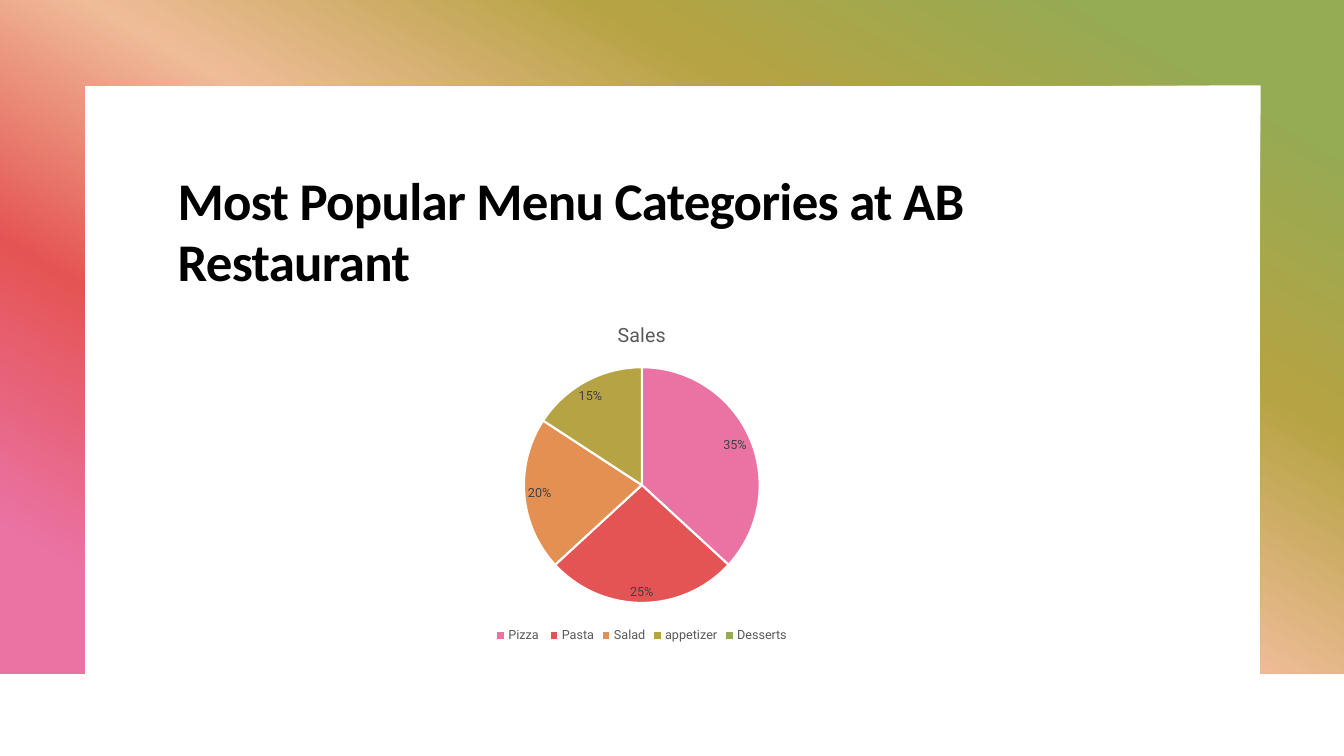
from lxml import etree
from pptx import Presentation
from pptx.chart.data import CategoryChartData
from pptx.dml.color import RGBColor
from pptx.enum.chart import XL_CHART_TYPE, XL_LABEL_POSITION, XL_LEGEND_POSITION
from pptx.enum.text import MSO_ANCHOR, MSO_AUTO_SIZE, PP_ALIGN
from pptx.oxml.ns import qn
from pptx.util import Cm, Pt

PIE = XL_CHART_TYPE.PIE
BEST_FIT = XL_LABEL_POSITION.BEST_FIT
LEGEND_BOTTOM = XL_LEGEND_POSITION.BOTTOM
TOP = MSO_ANCHOR.TOP
NO_AUTOFIT = MSO_AUTO_SIZE.NONE
LEFT = PP_ALIGN.LEFT

BLACK = RGBColor(0x00, 0x00, 0x00)
WHITE = RGBColor(0xFF, 0xFF, 0xFF)
DARK_GREY = RGBColor(0x40, 0x40, 0x40)
GREY = RGBColor(0x59, 0x59, 0x59)
PINK = RGBColor(0xEA, 0x73, 0xA4)
RED = RGBColor(0xE5, 0x54, 0x54)
ORANGE = RGBColor(0xE5, 0x90, 0x53)
PEACH = RGBColor(0xEF, 0xBC, 0x98)
OLIVE = RGBColor(0xB6, 0xA3, 0x43)
GREEN = RGBColor(0x95, 0xAB, 0x54)

TITLE_FONT = "Calibri"
CHART_FONT = "Roboto"
SLIDE_WIDTH, SLIDE_HEIGHT = Cm(33.86), Cm(19.05)
FRAME_HEIGHT = Cm(16.97)
INNER_LEFT, INNER_TOP, INNER_RIGHT = Cm(2.14), Cm(2.15), Cm(31.76)

FRAME_STOPS = [(10, GREEN), (30, OLIVE), (50, PEACH), (70, RED), (90, PINK)]
SALES = [
    ("Pizza ", 0.35, PINK),
    ("Pasta", 0.25, RED),
    ("Salad", 0.2, ORANGE),
    ("appetizer", 0.15, OLIVE),
    ("Desserts", None, GREEN),
]


def format_font(font, name, size, color, bold=False):
    font.name = name
    font.size = Pt(size)
    font.bold = bold
    font.color.rgb = color


def write_text(frame, text, *, font, size, color, bold=False,
               line_spacing=None, tracking=None):
    """Fill a text frame with one formatted paragraph; tracking is in points."""
    para = frame.paragraphs[0]
    para.line_spacing = line_spacing
    span = para.add_run()
    span.text = text
    format_font(span.font, font, size, color, bold)
    if tracking is not None:
        span.font._element.set("spc", str(round(tracking * 100)))
    return para


def fill_gradient(shape, stops, angle):
    """Fill with (percent, colour) stops; the angle runs counter-clockwise."""
    shape.fill.gradient()
    shape.fill.gradient_angle = angle
    stop_list = shape._element.spPr.find(qn("a:gradFill")).find(qn("a:gsLst"))
    stop_list.clear()
    for percent, color in stops:
        stop = etree.SubElement(stop_list, qn("a:gs"), pos=str(percent * 1000))
        etree.SubElement(stop, qn("a:srgbClr"), val=str(color))


def add_frame(page):
    """Draw the open gradient frame behind everything else."""
    builder = page.shapes.build_freeform(0, 0)
    builder.add_line_segments([
        (SLIDE_WIDTH, 0), (SLIDE_WIDTH, FRAME_HEIGHT),
        (INNER_RIGHT, FRAME_HEIGHT), (INNER_RIGHT, INNER_TOP),
        (INNER_LEFT, INNER_TOP), (INNER_LEFT, FRAME_HEIGHT),
        (0, FRAME_HEIGHT),
    ], close=True)
    frame = builder.convert_to_shape()
    frame.shadow.inherit = False
    frame.line.fill.background()
    fill_gradient(frame, FRAME_STOPS, 240)
    page.shapes._spTree.insert(2, frame._element)


def add_title(page, text):
    title = page.shapes.title
    title.left, title.top = Cm(4.22), Cm(4.22)
    title.width, title.height = Cm(25.4), Cm(3.02)
    frame = title.text_frame
    frame.word_wrap = True
    frame.auto_size = NO_AUTOFIT
    frame.vertical_anchor = TOP
    para = write_text(frame, text, font=TITLE_FONT, size=37.8, color=BLACK,
                      bold=True, line_spacing=0.95, tracking=-0.5)
    para.alignment = LEFT


def add_sales_pie(page):
    data = CategoryChartData(number_format="0%")
    data.categories = [name for name, _, _ in SALES]
    data.add_series("Sales", [share for _, share, _ in SALES])
    chart = page.shapes.add_chart(
        PIE, Cm(8.55), Cm(7.69), Cm(15.24), Cm(8.61), data).chart
    format_font(chart.font, CHART_FONT, 10, BLACK)

    chart.has_title = True
    write_text(chart.chart_title.text_frame, "Sales",
               font=CHART_FONT, size=14, color=GREY)
    chart.chart_title.include_in_layout = False

    chart.has_legend = True
    chart.legend.position = LEGEND_BOTTOM
    chart.legend.include_in_layout = False
    format_font(chart.legend.font, CHART_FONT, 9, GREY)

    plot = chart.plots[0]
    plot.vary_by_categories = True
    series = plot.series[0]
    for index, (_, _, color) in enumerate(SALES):
        slice_format = series.points[index].format
        slice_format.fill.solid()
        slice_format.fill.fore_color.rgb = color
        slice_format.line.color.rgb = WHITE
        slice_format.line.width = Pt(1.5)

    labels = series.data_labels
    labels.show_value = True
    labels.number_format = "0%"
    labels.number_format_is_linked = False
    labels.position = BEST_FIT
    format_font(labels.font, CHART_FONT, 9, DARK_GREY)


def main():
    deck = Presentation()
    deck.slide_width, deck.slide_height = SLIDE_WIDTH, SLIDE_HEIGHT
    title_only = deck.slide_layouts[5]
    page = deck.slides.add_slide(title_only)
    add_frame(page)
    add_title(page, "Most Popular Menu Categories at AB Restaurant")
    add_sales_pie(page)
    deck.save("out.pptx")


if __name__ == "__main__":
    main()
